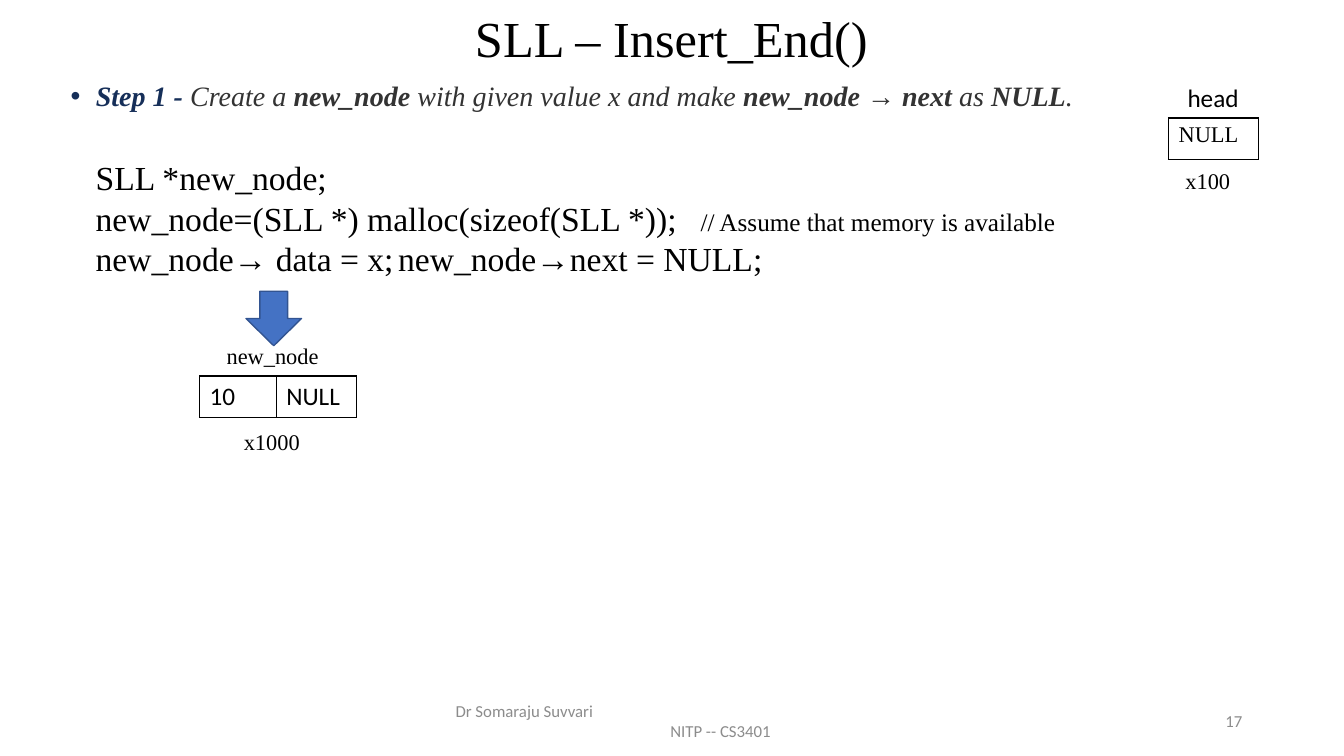
from dataclasses import dataclass

from lxml.etree import SubElement
from pptx import Presentation
from pptx.dml.color import RGBColor
from pptx.enum.shapes import MSO_SHAPE
from pptx.enum.text import MSO_ANCHOR, MSO_AUTO_SIZE, PP_ALIGN
from pptx.oxml.ns import qn
from pptx.shapes.base import BaseShape
from pptx.slide import Slide
from pptx.text.text import TextFrame, _Paragraph
from pptx.util import Inches, Pt

COLORS = {
    "ink": "000000",
    "step": "162F59",
    "body": "333333",
    "footer": "8C8C8C",
    "arrow": "4472C4",
    "arrow_edge": "325491",
}
SERIF = "Times New Roman"
SANS = "Calibri"


@dataclass(frozen=True)
class Span:
    text: str
    size: float = 16
    face: str = SERIF
    color: str = "ink"
    bold: bool = False
    italic: bool = False


@dataclass(frozen=True)
class Line:
    spans: tuple[Span, ...]
    align: PP_ALIGN = PP_ALIGN.LEFT
    margin: float = 0
    hanging: float = 0
    bullet: str = ""
    tab: float = 0
    spacing: float = 1.0


@dataclass(frozen=True)
class Label:
    box: tuple[float, float, float, float]
    lines: tuple[Line, ...]
    anchor: MSO_ANCHOR = MSO_ANCHOR.TOP


@dataclass(frozen=True)
class Node:
    left: float
    top: float
    widths: tuple[float, ...]
    fields: tuple[Span, ...]
    height: float = 0.41


def rgb(color: str) -> RGBColor:
    return RGBColor.from_string(COLORS[color])


def place(shape: BaseShape, box: tuple[float, float, float, float]) -> None:
    for side, length in zip(("left", "top", "width", "height"), box):
        setattr(shape, side, Inches(length))


def write_line(paragraph: _Paragraph, line: Line) -> None:
    properties = paragraph._p.get_or_add_pPr()
    properties.set("marL", str(Inches(line.margin)))
    properties.set("indent", str(Inches(-line.hanging)))
    if line.bullet:
        SubElement(properties, qn("a:buFont"), typeface="Arial")
        SubElement(properties, qn("a:buChar"), char=line.bullet)
    if line.tab:
        tabs = SubElement(properties, qn("a:tabLst"))
        SubElement(tabs, qn("a:tab"), pos=str(Inches(line.tab)), algn="l")
    layout = {
        "alignment": line.align,
        "line_spacing": line.spacing,
        "space_before": Pt(0),
    }
    for name, value in layout.items():
        setattr(paragraph, name, value)
    for span in line.spans:
        run = paragraph.add_run()
        run.text = span.text
        style = {
            "name": span.face,
            "size": Pt(span.size),
            "bold": span.bold,
            "italic": span.italic,
        }
        for name, value in style.items():
            setattr(run.font, name, value)
        run.font.color.rgb = rgb(span.color)


def write_frame(frame: TextFrame, label: Label) -> None:
    setup = {
        "word_wrap": True,
        "auto_size": MSO_AUTO_SIZE.NONE,
        "vertical_anchor": label.anchor,
    }
    for name, value in setup.items():
        setattr(frame, name, value)
    for index, line in enumerate(label.lines):
        write_line(frame.add_paragraph() if index else frame.paragraphs[0], line)


def fill_placeholder(shape: BaseShape, label: Label) -> None:
    place(shape, label.box)
    write_frame(shape.text_frame, label)


def draw_label(slide: Slide, label: Label) -> None:
    write_frame(slide.shapes.add_textbox(*map(Inches, label.box)).text_frame, label)


def draw_node(slide: Slide, node: Node) -> None:
    box = (node.left, node.top, sum(node.widths), node.height)
    table = slide.shapes.add_table(1, len(node.widths), *map(Inches, box)).table
    table.first_row = table.horz_banding = False
    for column, width, cell, field in zip(
        table.columns, node.widths, table.rows[0].cells, node.fields
    ):
        column.width = Inches(width)
        write_line(cell.text_frame.paragraphs[0], Line((field,)))
        properties = cell._tc.get_or_add_tcPr()
        for edge in ("lnL", "lnR", "lnT", "lnB"):
            border = SubElement(properties, qn(f"a:{edge}"), w=str(Pt(1)))
            solid = SubElement(border, qn("a:solidFill"))
            SubElement(solid, qn("a:srgbClr"), val=COLORS["ink"])
        cell.fill.background()


def draw_arrow(slide: Slide, box: tuple[float, float, float, float]) -> None:
    arrow = slide.shapes.add_shape(MSO_SHAPE.DOWN_ARROW, *map(Inches, box))
    arrow.shadow.inherit = False
    arrow.fill.solid()
    arrow.fill.fore_color.rgb = rgb("arrow")
    arrow.line.color.rgb = rgb("arrow_edge")
    arrow.line.width = Pt(1)


def step_span(text: str, bold: bool = False, color: str = "body") -> Span:
    return Span(text, 20, SERIF, color, bold, True)


def footer_span(text: str) -> Span:
    return Span(text, 12, SANS, "footer")


TITLE = Label(
    (0.91, 0.15, 11.5, 0.51),
    (Line((Span("SLL – Insert_End()", 36),), PP_ALIGN.CENTER, spacing=0.9),),
    MSO_ANCHOR.MIDDLE,
)
STEP = Label(
    (0.6, 0.77, 12.11, 5.99),
    (
        Line(
            (
                step_span("Step 1 - ", True, "step"),
                step_span("Create a "),
                step_span("new_node ", True),
                step_span("with given value x and make "),
                step_span("new_node → next", True),
                step_span(" as "),
                step_span("NULL", True),
                step_span("."),
            ),
            PP_ALIGN.JUSTIFY,
            margin=0.25,
            hanging=0.25,
            bullet="•",
            spacing=0.9,
        ),
    ),
)
LABELS = (
    Label(
        (4.42, 6.95, 4.5, 0.4),
        (
            Line((footer_span("Dr Somaraju Suvvari"),)),
            Line((footer_span("NITP -- CS3401"),), margin=2.13),
        ),
        MSO_ANCHOR.MIDDLE,
    ),
    Label(
        (9.42, 6.95, 3, 0.4),
        (Line((footer_span("17"),), PP_ALIGN.RIGHT),),
        MSO_ANCHOR.MIDDLE,
    ),
    Label(
        (0.85, 1.51, 10.58, 1.31),
        (
            Line((Span("SLL *new_node;", 24),)),
            Line(
                (
                    Span("new_node=(SLL *) malloc(sizeof(SLL *));\t", 24),
                    Span("// Assume that memory is available", 18),
                ),
                tab=5.92,
            ),
            Line((Span("new_node→ data = x;\tnew_node→next = NULL;", 24),), tab=3.2),
        ),
    ),
    Label((2.32, 4.2, 0.78, 0.37), (Line((Span("x1000"),)),)),
    Label((2.15, 3.35, 1.13, 0.37), (Line((Span("new_node"),)),)),
    Label((11.68, 0.77, 0.8, 0.4), (Line((Span("head", 18, SANS),)),)),
    Label((11.66, 1.61, 0.83, 0.37), (Line((Span("x100"),)),)),
)
NODES = (
    Node(1.98, 3.73, (0.76, 0.8), (Span("10", 18, SANS), Span("NULL", 18, SANS))),
    Node(11.59, 1.17, (0.89,), (Span("NULL"),)),
)


def main() -> None:
    deck = Presentation()
    deck.slide_width, deck.slide_height = Inches(13.33), Inches(7.5)
    slide = deck.slides.add_slide(deck.slide_layouts[1])
    fill_placeholder(slide.shapes.title, TITLE)
    fill_placeholder(slide.placeholders[1], STEP)
    for label in LABELS:
        draw_label(slide, label)
    for node in NODES:
        draw_node(slide, node)
    draw_arrow(slide, (2.44, 2.89, 0.55, 0.54))
    deck.save("out.pptx")


if __name__ == "__main__":
    main()
